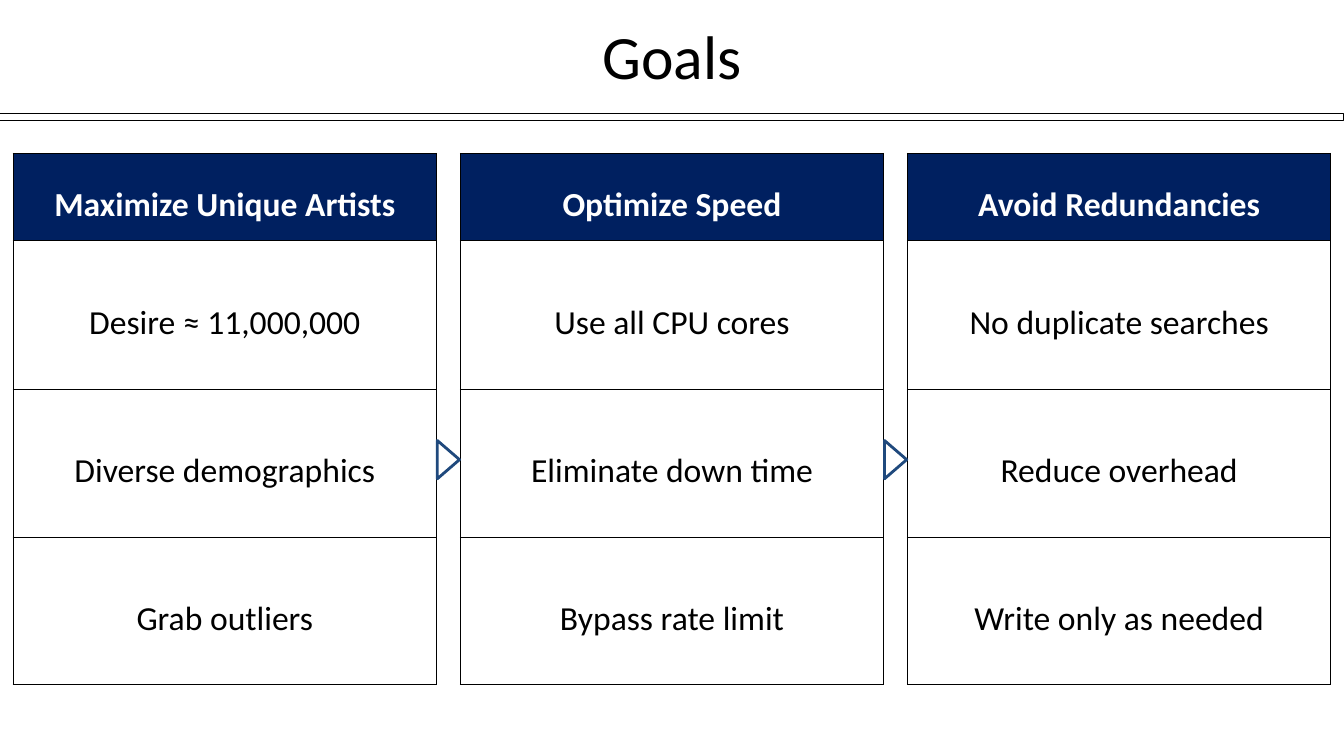
import pptx
import pptx.util
import pptx.dml.color
import pptx.enum.shapes
import pptx.enum.text
import lxml.etree
import pptx.oxml.ns

GOALS = [
    ("Maximize Unique Artists", "Desire ≈ 11,000,000", "Diverse demographics", "Grab outliers"),
    ("Optimize Speed", "Use all CPU cores", "Eliminate down time", "Bypass rate limit"),
    ("Avoid Redundancies", "No duplicate searches", "Reduce overhead", "Write only as needed"),
]
ROWS = [0.87, 1.47, 1.47, 1.46]
LEFT, TOP, WIDE, GAP = 0.13, 1.52, 4.2, 0.235
BLACK, WHITE, NAVY, BLUE = "000000", "FFFFFF", "002060", "1F497D"

Inches, Pt = pptx.util.Inches, pptx.util.Pt
SHAPE = pptx.enum.shapes.MSO_SHAPE
qn = pptx.oxml.ns.qn


def color(code):
    return pptx.dml.color.RGBColor.from_string(code)


def style(para, size, code, bold=False):
    para.alignment = pptx.enum.text.PP_ALIGN.CENTER
    para.font.name = "Calibri"
    para.font.size = Pt(size)
    para.font.bold = bold
    para.font.color.rgb = color(code)


def border(cell):
    props = cell._tc.get_or_add_tcPr()
    for spot, side in enumerate(("lnL", "lnR", "lnT", "lnB")):
        line = lxml.etree.Element(qn("a:" + side), w=str(Pt(0.75)))
        fill = lxml.etree.SubElement(line, qn("a:solidFill"))
        lxml.etree.SubElement(fill, qn("a:srgbClr"), val=BLACK)
        props.insert(spot, line)


def shape(kind, box, code, width):
    item = slide.shapes.add_shape(kind, *map(Inches, box))
    item.shadow.inherit = False
    item.fill.solid()
    item.fill.fore_color.rgb = color(WHITE)
    item.line.color.rgb = color(code)
    item.line.width = Pt(width)
    return item


def column(left, words):
    frame = slide.shapes.add_table(len(ROWS), 1, Inches(left), Inches(TOP),
                                   Inches(WIDE), Inches(sum(ROWS)))
    table = frame.table
    table.horz_banding = False
    for row, (high, text) in enumerate(zip(ROWS, words)):
        table.rows[row].height = Inches(high)
        cell = table.cell(row, 0)
        cell.text = text
        cell.vertical_anchor = pptx.enum.text.MSO_ANCHOR.MIDDLE
        cell.margin_left = cell.margin_right = Inches(0.15)
        cell.margin_top = cell.margin_bottom = Inches(0.15)
        para = cell.text_frame.paragraphs[0]
        para.line_spacing = 1.4
        head = row == 0
        style(para, 24, WHITE if head else BLACK, head)
        if head:
            cell.fill.solid()
            cell.fill.fore_color.rgb = color(NAVY)
        else:
            cell.fill.background()
        border(cell)


deck = pptx.Presentation()
deck.slide_width, deck.slide_height = Inches(13.33), Inches(7.5)
slide = deck.slides.add_slide(deck.slide_layouts[6])

shape(SHAPE.RECTANGLE, (0, 1.13, 13.33, 0.07), BLACK, 0.75)

title = slide.shapes.add_textbox(*map(Inches, (2.88, 0.18, 7.57, 0.76))).text_frame
title.word_wrap = True
title.margin_left = title.margin_right = title.margin_top = title.margin_bottom = 0
title.text = "Goals"
style(title.paragraphs[0], 44, BLACK)

lefts = [LEFT + i * (WIDE + GAP) for i in range(len(GOALS))]
for left, words in zip(lefts, GOALS):
    column(left, words)

for left in lefts[1:]:
    mid = left - GAP / 2
    arrow = shape(SHAPE.FLOWCHART_EXTRACT, (mid - 0.19, 4.45, 0.38, 0.22), BLUE, 2)
    arrow.rotation = 90

deck.save("out.pptx")
